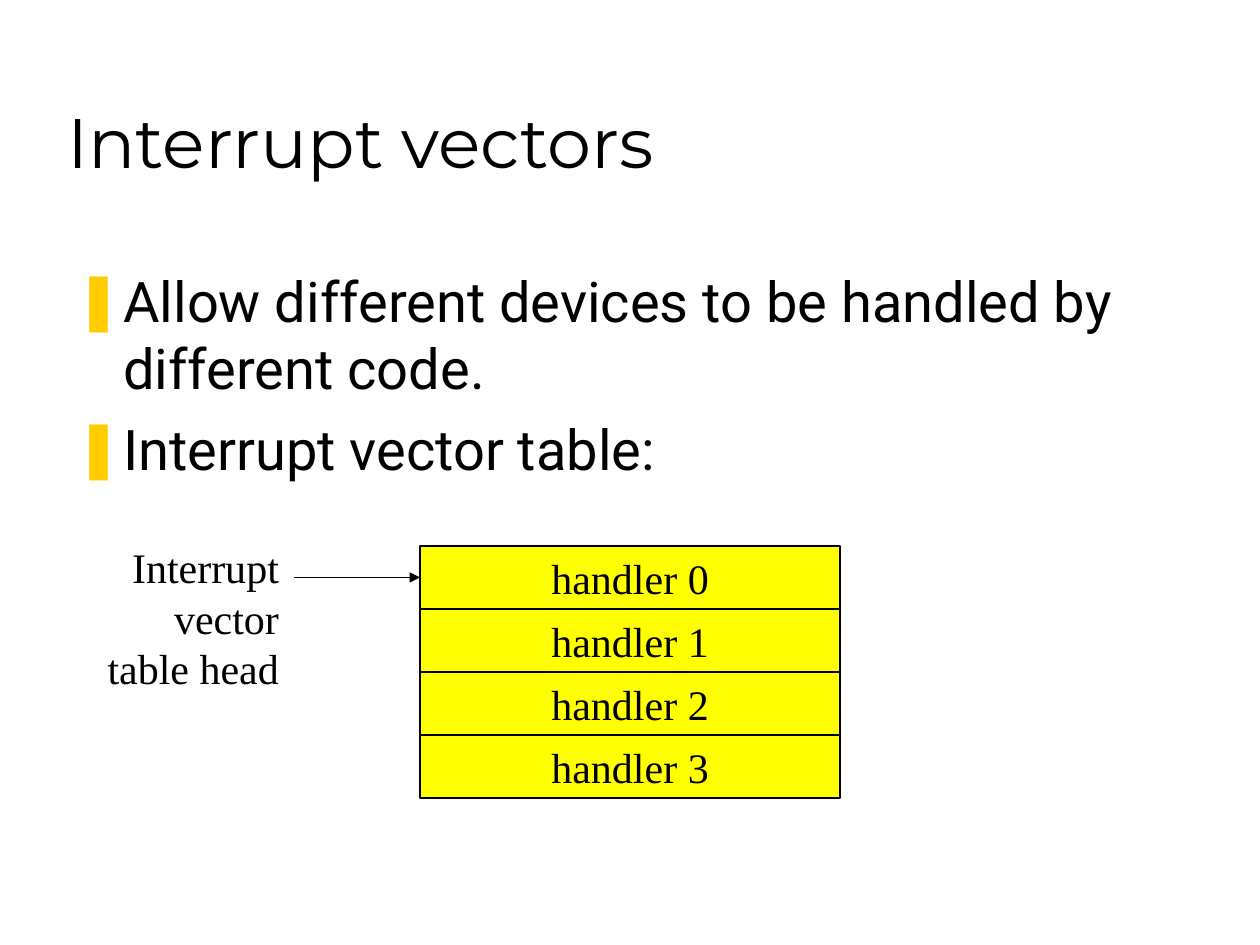
from dataclasses import dataclass
from typing import Any

from lxml.etree import SubElement
from pptx import Presentation
from pptx.dml.color import RGBColor
from pptx.enum.shapes import MSO_CONNECTOR, MSO_SHAPE
from pptx.enum.text import MSO_ANCHOR, PP_ALIGN
from pptx.oxml.ns import qn
from pptx.util import Inches, Pt


def color(value):
    return RGBColor.from_string(value)


@dataclass
class SlideBuilder:
    page: Any
    cell: float = 1 / 12
    ink: str = "000000"
    accent: str = "FFCC00"
    cell_fill: str = "FFFF00"
    diagram_font: str = "Times New Roman"
    diagram_size: int = 24

    def grid(self, *units):
        return [Inches(unit * self.cell) for unit in units]

    def fill_text(self, box, lines, font, size, align=PP_ALIGN.LEFT,
                  anchor=MSO_ANCHOR.TOP, wrap=True, bullet=None):
        frame = box.text_frame
        frame.word_wrap = wrap
        frame.vertical_anchor = anchor
        for index, line in enumerate(lines):
            para = frame.add_paragraph() if index else frame.paragraphs[0]
            para.alignment = align
            if bullet:
                self.add_bullet(para, bullet)
                if index:
                    para.space_before = Pt(8)
            span = para.add_run()
            span.text = line
            span.font.name = font
            span.font.size = Pt(size)
            span.font.color.rgb = color(self.ink)

    def add_bullet(self, para, mark):
        properties = para._p.get_or_add_pPr()
        indent = Inches(0.38)
        properties.set("marL", str(indent))
        properties.set("indent", str(-indent))
        tint = SubElement(properties, qn("a:buClr"))
        SubElement(tint, qn("a:srgbClr"), val=self.accent)
        SubElement(properties, qn("a:buFont"), typeface="Arial")
        SubElement(properties, qn("a:buChar"), char=mark)

    def text(self, area, lines, font, size, **style):
        box = self.page.shapes.add_textbox(*self.grid(*area))
        self.fill_text(box, lines, font, size, **style)

    def table_entry(self, area, label):
        box = self.page.shapes.add_shape(MSO_SHAPE.RECTANGLE, *self.grid(*area))
        box.shadow.inherit = False
        box.fill.solid()
        box.fill.fore_color.rgb = color(self.cell_fill)
        box.line.color.rgb = color(self.ink)
        box.line.width = Pt(1)
        self.fill_text(box, [label], self.diagram_font, self.diagram_size,
                       align=PP_ALIGN.CENTER, anchor=MSO_ANCHOR.MIDDLE, wrap=False)
        return box

    def arrow(self, start, target):
        left, top = self.grid(*start)
        arrow = self.page.shapes.add_connector(
            MSO_CONNECTOR.STRAIGHT, left, top, target.left, top)
        arrow.end_connect(target, 1)
        arrow.line.color.rgb = color(self.ink)
        arrow.line.width = Pt(1)
        SubElement(arrow.line._get_or_add_ln(), qn("a:tailEnd"), type="triangle")
        SubElement(arrow._element.spPr, qn("a:effectLst"))


def main():
    deck = Presentation()
    deck.slide_width, deck.slide_height = Inches(10), Inches(7.5)
    slide = SlideBuilder(deck.slides.add_slide(deck.slide_layouts[6]))

    slide.text((5.25, 3, 102, 15), ["Interrupt vectors"], "Montserrat", 40,
               anchor=MSO_ANCHOR.BOTTOM)
    slide.text((6, 24.75, 107.25, 23.25),
               ["Allow different devices to be handled by different code.",
                "Interrupt vector table:"],
               "Roboto", 32, bullet="❚")

    entries = [slide.table_entry((40, 52 + 6 * row, 40, 6), f"handler {row}")
               for row in range(4)]
    slide.arrow((28, 55), entries[0])
    slide.text((9, 51, 18.75, 15.6), ["Interrupt", "vector", "table head"],
               slide.diagram_font, slide.diagram_size,
               align=PP_ALIGN.RIGHT, wrap=False)

    deck.save("out.pptx")


if __name__ == "__main__":
    main()
